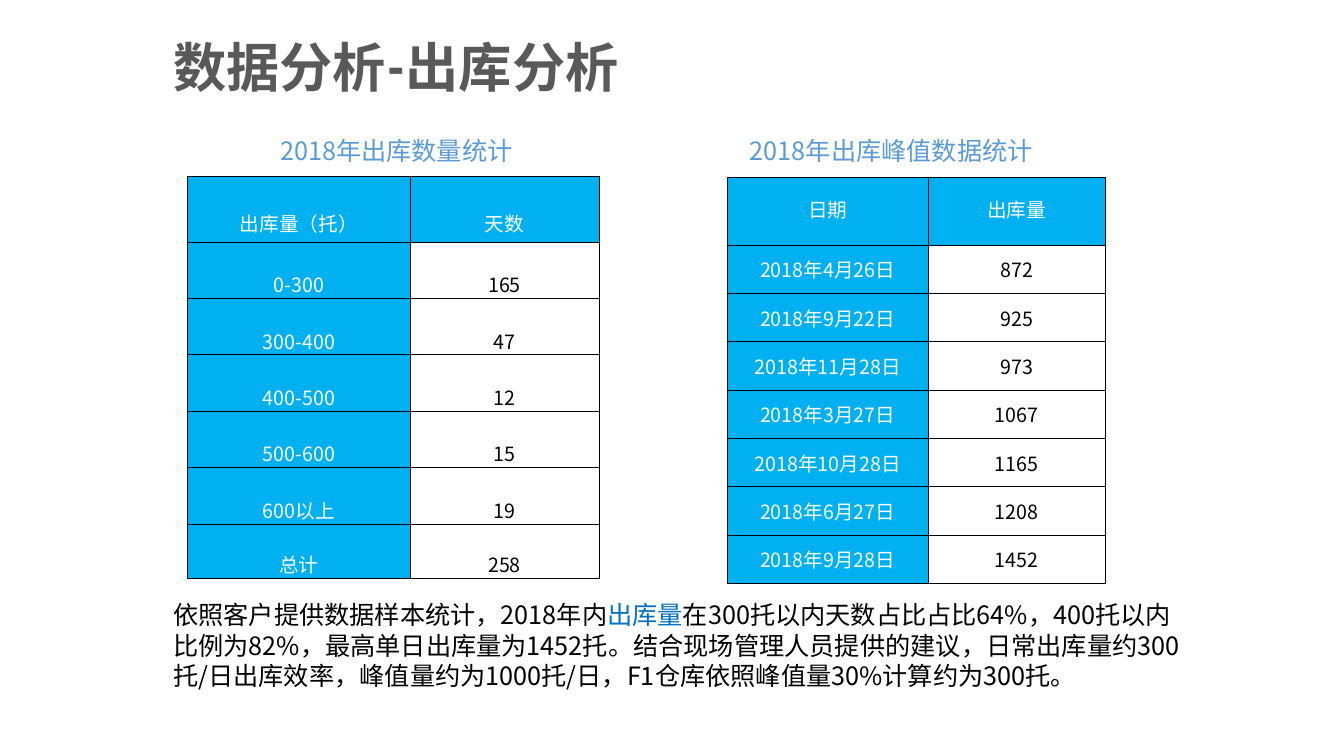
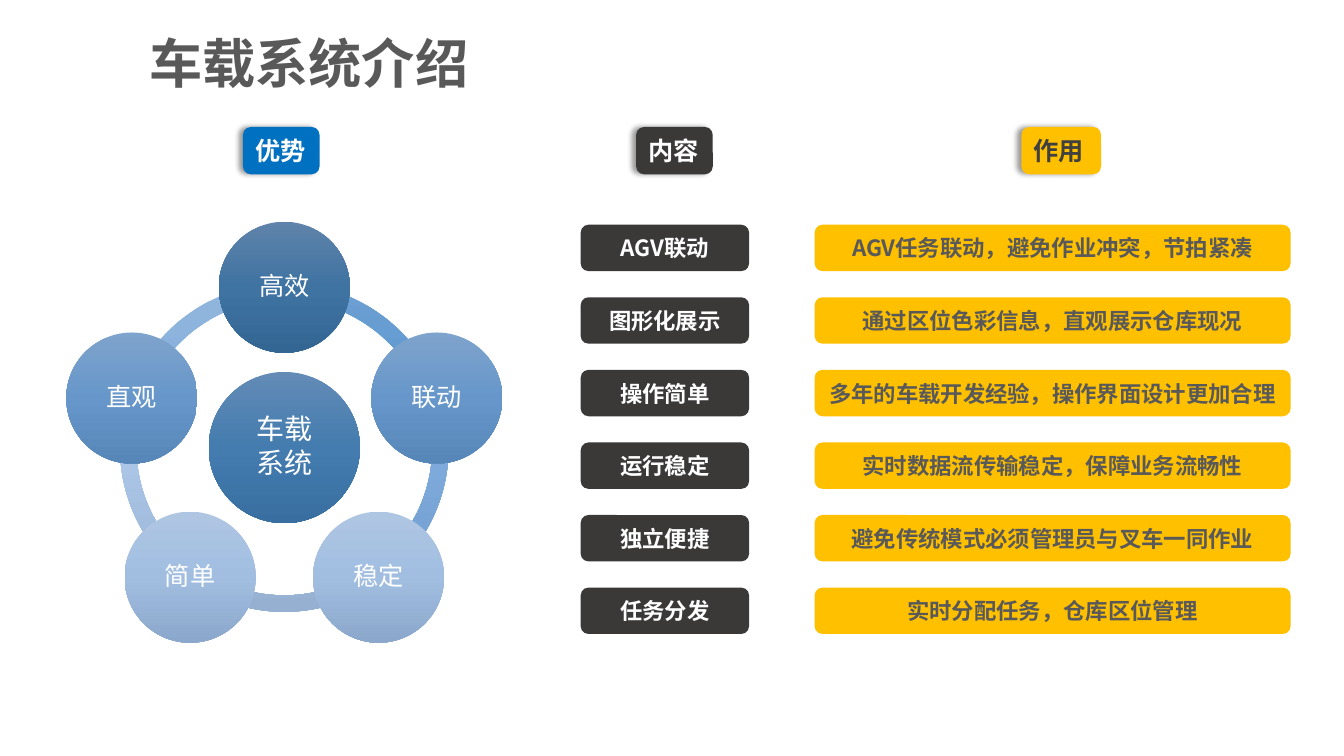
from copy import deepcopy
from math import cos, radians, sin

from lxml.etree import SubElement
from pptx import Presentation
from pptx.dml.color import RGBColor
from pptx.enum.shapes import MSO_SHAPE as Preset
from pptx.enum.text import MSO_ANCHOR as Anchor, MSO_AUTO_SIZE as AutoSize, PP_ALIGN as Align
from pptx.oxml.ns import qn
from pptx.util import Inches, Pt

COLORS = {
    "title": "595959", "caption": "5B9BD5", "black": "000000", "white": "FFFFFF",
    "cyan": "00B0F0", "blue": "0070C0", "dark": "3B3838", "gold": "FFC000",
    "dark_text": "404040", "gold_text": "595959",
}
GRADIENTS = {
    "arc_deep": ("6EA0D2", "5194D1", "4184C1"),
    "arc_mid": ("92B6DD", "7FACDC", "6C99C9"),
    "arc_pale": ("BACFE9", "ACC7E7", "95B0D1"),
    "hub": ("638BB6", "447CAF", "386FA0"),
    "node_deep": ("5F83AA", "3F73A2", "346694"),
    "node_mid": ("7EA3CC", "6797CA", "5786B9"),
    "node_pale": ("AFC6E3", "A1BEE1", "8BA8CC"),
}
BODY_FONT = "Noto Sans CJK SC"
FORMATS = {
    "title": {"name": "Roboto Condensed", "size": Pt(38), "bold": True},
    "body": {"name": BODY_FONT, "size": Pt(18), "bold": False},
    "cell": {"name": BODY_FONT, "size": Pt(14), "bold": False},
    "hub": {"name": BODY_FONT, "size": Pt(20), "bold": False},
    "tag": {"name": BODY_FONT, "size": Pt(18), "bold": True},
    "bar": {"name": BODY_FONT, "size": Pt(16), "bold": True},
}

OUTBOUND_DAYS = [
    ("出库量（托）", "天数"), ("0-300", "165"), ("300-400", "47"), ("400-500", "12"),
    ("500-600", "15"), ("600以上", "19"), ("总计", "258"),
]
OUTBOUND_PEAKS = [
    ("日期", "出库量"), ("2018年4月26日", "872"), ("2018年9月22日", "925"),
    ("2018年11月28日", "973"), ("2018年3月27日", "1067"), ("2018年10月28日", "1165"),
    ("2018年6月27日", "1208"), ("2018年9月28日", "1452"),
]
SUMMARY = [
    ("依照客户提供数据样本统计，2018年内", "black"),
    ("出库量", "blue"),
    ("在300托以内天数占比占比64%，400托以内比例为82%，最高单日出库量为1452托。"
     "结合现场管理人员提供的建议，日常出库量约300托/日出库效率，峰值量约为1000托/日，"
     "F1仓库依照峰值量30%计算约为300托。", "black"),
]
ADVANTAGES = [
    ("高效", "node_deep", "arc_deep"), ("联动", "node_mid", "arc_mid"),
    ("稳定", "node_pale", "arc_pale"), ("简单", "node_pale", "arc_pale"),
    ("直观", "node_mid", "arc_mid"),
]
TAGS = [
    ("优势", 2.41, 0.76, "blue", "white"),
    ("内容", 6.31, 0.76, "dark", "white"),
    ("作用", 10.13, 0.79, "gold", "dark_text"),
]
FEATURES = [
    ("AGV联动", "AGV任务联动，避免作业冲突，节拍紧凑"),
    ("图形化展示", "通过区位色彩信息，直观展示仓库现况"),
    ("操作简单", "多年的车载开发经验，操作界面设计更加合理"),
    ("运行稳定", "实时数据流传输稳定，保障业务流畅性"),
    ("独立便捷", "避免传统模式必须管理员与叉车一同作业"),
    ("任务分发", "实时分配任务，仓库区位管理"),
]


def rgb(color):
    return RGBColor.from_string(COLORS[color])


def add_run(paragraph, text, style, color):
    run = paragraph.add_run()
    run.text = text
    for attribute, value in FORMATS[style].items():
        setattr(run.font, attribute, value)
    run.font.color.rgb = rgb(color)
    SubElement(run.font._element, qn("a:ea"), typeface=FORMATS[style]["name"])


def add_text(slide, left, top, width, height, runs, style):
    box = slide.shapes.add_textbox(Inches(left), Inches(top), Inches(width), Inches(height))
    frame = box.text_frame
    frame.word_wrap = True
    frame.auto_size = AutoSize.SHAPE_TO_FIT_TEXT
    for text, color in runs:
        add_run(frame.paragraphs[0], text, style, color)


def add_title(slide, text, left, top):
    add_text(slide, left, top, 7.65, 0.74, [(text, "title")], "title")


def add_preset(slide, preset, left, top, width, height):
    shape = slide.shapes.add_shape(
        preset, Inches(left), Inches(top), Inches(width), Inches(height))
    shape.shadow.inherit = False
    shape.line.fill.background()
    return shape


def fill_gradient(shape, name):
    """Fill from top to bottom with three evenly spaced stops."""
    shape.fill.gradient()
    stop_list = shape._element.spPr.find(".//" + qn("a:gsLst"))
    stop_list.append(deepcopy(stop_list[-1]))
    for i, (stop, color) in enumerate(zip(shape.fill.gradient_stops, GRADIENTS[name])):
        stop.position = i / 2
        stop.color.rgb = RGBColor.from_string(color)
    shape.fill.gradient_angle = 270


def add_left_shadow(shape):
    effects = shape._element.spPr.find(qn("a:effectLst"))
    shadow = SubElement(effects, qn("a:outerShdw"), blurRad=str(Pt(4)), dist=str(Pt(3)),
                        dir="10800000", algn="r", rotWithShape="0")
    color = SubElement(shadow, qn("a:srgbClr"), val=COLORS["black"])
    SubElement(color, qn("a:alpha"), val="40000")


def add_label(slide, left, top, width, height, text, style, fill, color, align):
    label = add_preset(slide, Preset.ROUNDED_RECTANGLE, left, top, width, height)
    label.fill.solid()
    label.fill.fore_color.rgb = rgb(fill)
    label.text_frame.vertical_anchor = Anchor.MIDDLE
    paragraph = label.text_frame.paragraphs[0]
    paragraph.alignment = align
    add_run(paragraph, text, style, color)
    return label


def add_circle(slide, center_x, center_y, radius, lines, style, gradient):
    circle = add_preset(slide, Preset.OVAL, center_x - radius, center_y - radius,
                        2 * radius, 2 * radius)
    fill_gradient(circle, gradient)
    frame = circle.text_frame
    frame.vertical_anchor = Anchor.MIDDLE
    for side in ("left", "right", "top", "bottom"):
        setattr(frame, f"margin_{side}", Inches(0.03))
    for i, line in enumerate(lines):
        paragraph = frame.add_paragraph() if i else frame.paragraphs[0]
        paragraph.alignment = Align.CENTER
        paragraph.line_spacing = 0.9
        paragraph.space_after = Pt(3)
        add_run(paragraph, line, style, "white")


def border_cell(cell):
    properties = cell._tc.get_or_add_tcPr()
    for i, side in enumerate(("lnL", "lnR", "lnT", "lnB")):
        line = properties.makeelement(qn("a:" + side), {"w": str(Pt(0.5))})
        SubElement(SubElement(line, qn("a:solidFill")), qn("a:srgbClr"), val=COLORS["black"])
        properties.insert(i, line)


def add_stats_table(slide, left, top, widths, heights, rows, anchor, spacing):
    """Table with a cyan header row and first column."""
    table = slide.shapes.add_table(
        len(rows), len(widths), Inches(left), Inches(top),
        Inches(sum(widths)), Inches(sum(heights))).table
    table.first_row = table.horz_banding = False
    for column, width in zip(table.columns, widths):
        column.width = Inches(width)
    for r, (values, height) in enumerate(zip(rows, heights)):
        table.rows[r].height = Inches(height)
        for c, value in enumerate(values):
            cell = table.cell(r, c)
            heading = r == 0 or c == 0
            if heading:
                cell.fill.solid()
                cell.fill.fore_color.rgb = rgb("cyan")
            else:
                cell.fill.background()
            border_cell(cell)
            cell.vertical_anchor = anchor
            cell.margin_top = 0
            cell.margin_bottom = 0 if r else Inches(0.05)
            paragraph = cell.text_frame.paragraphs[0]
            paragraph.alignment = Align.CENTER
            paragraph.line_spacing = spacing
            add_run(paragraph, value, "cell", "white" if heading else "black")


def add_advantage_ring(slide):
    center_x, center_y = 2.82, 4.44
    ring_radius, orbit, step = 1.63, 1.59, 72
    for i, (_, _, gradient) in reversed(list(enumerate(ADVANTAGES))):
        arc = add_preset(slide, Preset.BLOCK_ARC, center_x - ring_radius,
                         center_y - ring_radius, 2 * ring_radius, 2 * ring_radius)
        start = (270 + step * i) % 360
        # Angles are stored in 1/60000 degree and adjustments in 1/100000.
        arc.adjustments[0] = start * 0.6
        arc.adjustments[1] = (start + step) % 360 * 0.6
        arc.adjustments[2] = 0.05
        fill_gradient(arc, gradient)
    add_circle(slide, center_x, center_y, 0.75, ["车载", "系统"], "hub", "hub")
    for i, (advantage, gradient, _) in enumerate(ADVANTAGES):
        angle = radians(270 + step * i)
        add_circle(slide, center_x + orbit * cos(angle), center_y + orbit * sin(angle),
                   0.65, [advantage], "body", gradient)


def build_outbound_analysis(slide):
    add_title(slide, "数据分析-出库分析", 1.62, 0.29)
    for caption, left in (("2018年出库数量统计", 2.68), ("2018年出库峰值数据统计", 7.34)):
        add_text(slide, left, 1.29, 4.53, 0.4, [(caption, "caption")], "body")
    add_stats_table(slide, 1.86, 1.75, [2.21, 1.87], [0.65] + [0.56] * 5 + [0.54],
                    OUTBOUND_DAYS, Anchor.BOTTOM, 1.9)
    add_stats_table(slide, 7.21, 1.76, [2, 1.75], [0.67] + [0.48] * 7,
                    OUTBOUND_PEAKS, Anchor.MIDDLE, 1.0)
    add_text(slide, 1.62, 5.9, 10.29, 1.01, SUMMARY, "body")


def build_vehicle_system(slide):
    add_title(slide, "车载系统介绍", 1.38, 0.25)
    add_advantage_ring(slide)
    for text, left, width, fill, color in TAGS:
        add_left_shadow(add_label(slide, left, 1.26, width, 0.47, text, "tag",
                                  fill, color, Align.LEFT))
    for i, (feature, effect) in enumerate(FEATURES):
        top = 2.23 + 0.72 * i
        add_label(slide, 5.76, top, 1.67, 0.46, feature, "bar", "dark", "white", Align.CENTER)
        add_label(slide, 8.08, top, 4.72, 0.46, effect, "bar", "gold", "gold_text", Align.CENTER)


def main():
    deck = Presentation()
    deck.slide_width, deck.slide_height = Inches(13.33), Inches(7.5)
    for build in (build_outbound_analysis, build_vehicle_system):
        build(deck.slides.add_slide(deck.slide_layouts[6]))
    deck.save("out.pptx")


if __name__ == "__main__":
    main()
